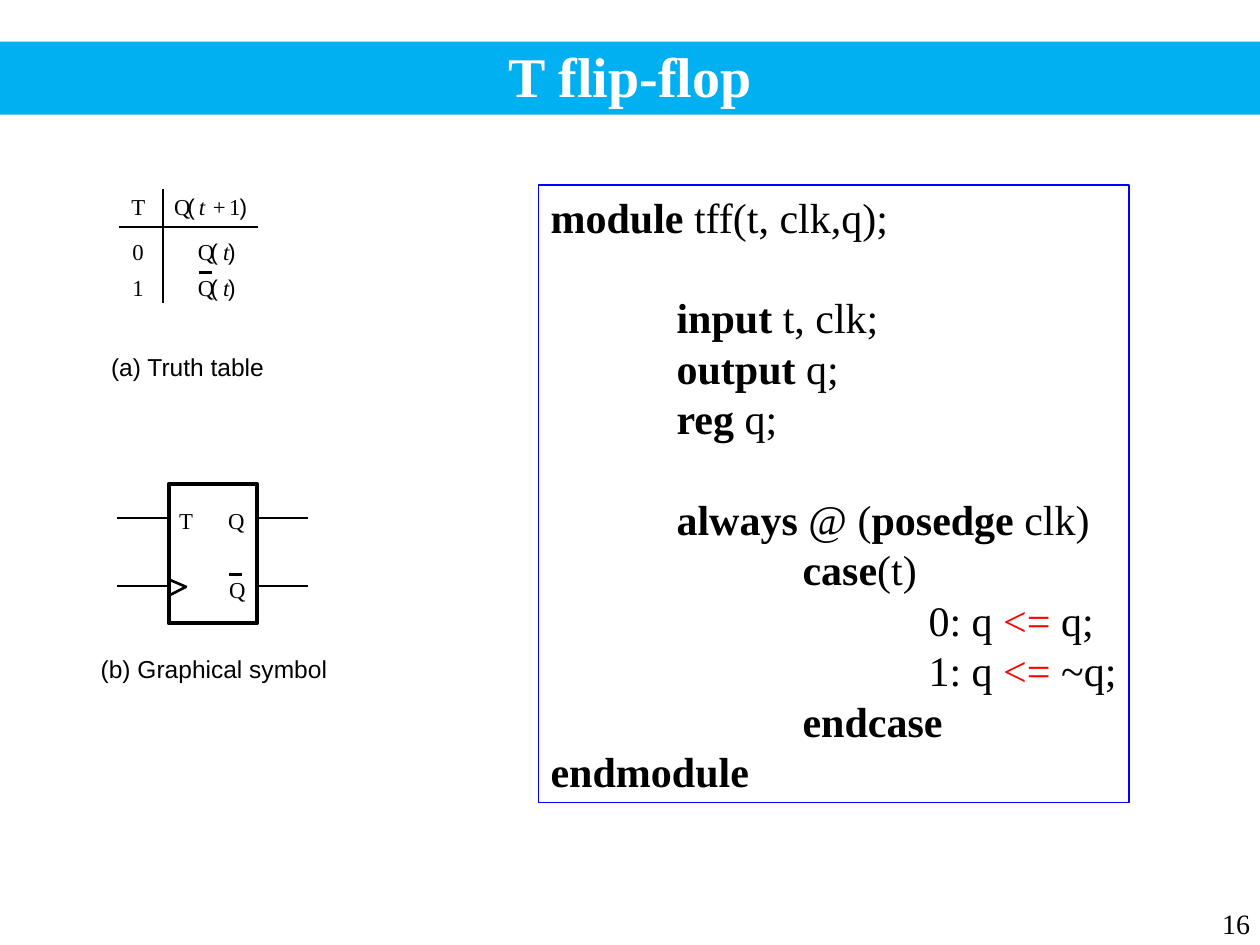
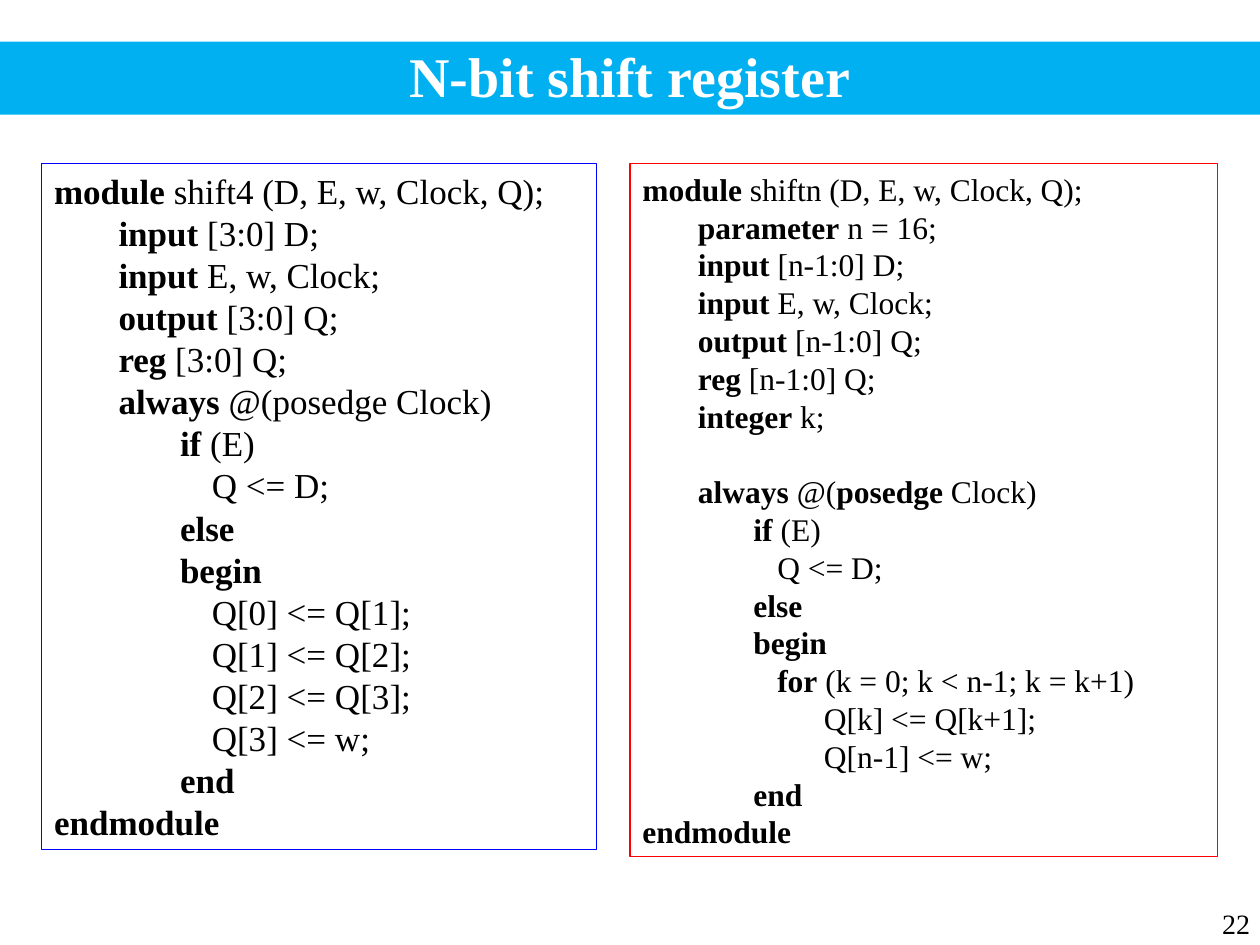
from lxml.etree import SubElement as SubEl
from pptx import Presentation
from pptx.dml.color import RGBColor
from pptx.enum.shapes import MSO_CONNECTOR as Link, MSO_SHAPE as Shape
from pptx.enum.text import MSO_ANCHOR as Anchor, MSO_AUTO_SIZE as Fit, PP_ALIGN as Align
from pptx.oxml.ns import qn
from pptx.util import Cm, Pt

COLORS = {"band": "00B0F0", "white": "FFFFFF", "black": "000000",
          "blue": "0000FF", "red": "FF0000"}
SERIF, SANS = "Times New Roman", "Arial"
LEAD = 1.2

# In code, *...* marks bold and ^...^ marks red.
TFF = """*module* tff(t, clk,q);

\t*input* t, clk;
\t*output* q;
\t*reg* q;

\t*always* @ (*posedge* clk)
\t\t*case*(t)
\t\t\t0: q ^<=^ q;
\t\t\t1: q ^<=^ ~q;
\t\t*endcase*
*endmodule*"""

SHIFT4 = """*module* shift4 (D, E, w, Clock, Q);
\t*input* [3:0] D;
\t*input* E, w, Clock;
\t*output* [3:0] Q;
\t*reg* [3:0] Q;
\t*always* @(posedge Clock)
\t\t*if* (E)
\t\t\tQ <= D;
\t\t*else*
\t\t*begin*
\t\t\tQ[0] <= Q[1];
\t\t\tQ[1] <= Q[2];
\t\t\tQ[2] <= Q[3];
\t\t\tQ[3] <= w;
\t\t*end*
*endmodule*"""

SHIFTN = """*module* shiftn (D, E, w, Clock, Q);
\t*parameter* n = 16;
\t*input* [n-1:0] D;
\t*input* E, w, Clock;
\t*output* [n-1:0] Q;
\t*reg* [n-1:0] Q;
\t*integer* k;

\t*always* @(*posedge* Clock)
\t\t*if* (E)
\t\t\tQ <= D;
\t\t*else*
\t\t*begin*
\t\t\t*for* (k = 0; k < n-1; k = k+1)
\t\t\t\tQ[k] <= Q[k+1];
\t\t\t\tQ[n-1] <= w;
\t\t*end*
*endmodule*"""


def rgb(name):
    return RGBColor.from_string(COLORS[name])


def add_run(para, text, size, color="black", face=SERIF, bold=False, slant=False):
    run = para.add_run()
    run.text = text
    font = run.font
    font.name, font.size, font.bold, font.italic = face, Pt(size), bold, slant
    font.color.rgb = rgb(color)


def set_line(shape, color, width):
    shape.line.color.rgb = rgb(color)
    shape.line.width = Pt(width)


def add_page(deck, title, number):
    """Add a slide with the title band and the page number."""
    slide = deck.slides.add_slide(deck.slide_layouts[5])
    band = slide.shapes.title
    band.left, band.top, band.width, band.height = Cm(0), Cm(0.84), Cm(25.4), Cm(1.47)
    band.fill.solid()
    band.fill.fore_color.rgb = rgb("band")
    frame = band.text_frame
    frame.auto_size, frame.vertical_anchor = Fit.NONE, Anchor.BOTTOM
    para = frame.paragraphs[0]
    para.alignment = Align.CENTER
    add_run(para, title, 32, "white", bold=True)

    foot = slide.shapes.add_textbox(Cm(20.17), Cm(17.81), Cm(5.28), Cm(1.27)).text_frame
    foot.word_wrap, foot.vertical_anchor = True, Anchor.BOTTOM
    foot.paragraphs[0].alignment = Align.RIGHT
    add_run(foot.paragraphs[0], str(number), 16)
    return slide


def add_label(slide, text, x, y, width=0.45, size=13, face=SERIF, slant=False):
    box = slide.shapes.add_textbox(Cm(x), Cm(y), Cm(width), Cm(0.56))
    frame = box.text_frame
    frame.margin_left = frame.margin_right = frame.margin_top = frame.margin_bottom = 0
    frame.word_wrap = False
    add_run(frame.paragraphs[0], text, size, face=face, slant=slant)


def add_term(slide, signs, y):
    """Set the signs of a formula one by one at their own x."""
    for sign, x in signs:
        face = SANS if sign in "()" else SERIF
        add_label(slide, sign, x, y, face=face, slant=sign == "t")


def add_rule(slide, x1, y1, x2, y2, width=1.5):
    rule = slide.shapes.add_connector(Link.STRAIGHT, Cm(x1), Cm(y1), Cm(x2), Cm(y2))
    set_line(rule, "black", width)
    SubEl(rule.element.spPr, qn("a:effectLst"))


def set_tabs(para, stops):
    tabs = SubEl(para._p.get_or_add_pPr(), qn("a:tabLst"))
    for stop in stops:
        SubEl(tabs, qn("a:tab"), pos=str(Cm(stop)), algn="l")


def add_code(slide, code, x, y, width, height, size, stops, edge):
    box = slide.shapes.add_textbox(Cm(x), Cm(y), Cm(width), Cm(height))
    set_line(box, edge, 0.75)
    frame = box.text_frame
    frame.word_wrap, frame.margin_right = True, 0
    para, gap = frame.paragraphs[0], 0
    for row, line in enumerate(code.split("\n")):
        if not line:
            gap = size * LEAD
            continue
        if row:
            para = frame.add_paragraph()
        set_tabs(para, stops)
        para.line_spacing, para.space_before = Pt(size * LEAD), Pt(gap)
        gap = 0
        for i, part in enumerate(line.split("*")):
            for j, text in enumerate(part.split("^")):
                if text:
                    add_run(para, text, size, "red" if j % 2 else "black", bold=i % 2 == 1)


def add_truth(slide):
    add_rule(slide, 2.39, 4.58, 5.21, 4.58, 1.39)
    add_rule(slide, 3.29, 3.81, 3.29, 6.1, 1.39)
    add_term(slide, [("T", 2.65), ("Q", 3.51), ("(", 3.78), ("t", 4.01),
                     ("+", 4.29), ("1", 4.62), (")", 4.83)], 3.89)
    for state, y in (("0", 4.8), ("1", 5.52)):
        add_term(slide, [(state, 2.67), ("Q", 3.99), ("(", 4.24), ("t", 4.5), (")", 4.6)], y)
    add_rule(slide, 4.01, 5.49, 4.27, 5.49, 1.39)
    add_label(slide, "(a) Truth table", 2.24, 7.09, 3.25, 14, SANS)


def add_symbol(slide):
    left, right = 3.4, 5.18
    body = slide.shapes.add_shape(Shape.RECTANGLE, Cm(left), Cm(9.75), Cm(right - left), Cm(2.82))
    body.shadow.inherit = False
    body.fill.solid()
    body.fill.fore_color.rgb = rgb("white")
    set_line(body, "black", 2.25)
    for y in (10.44, 11.81):
        add_rule(slide, 2.36, y, left, y)
        add_rule(slide, right, y, 6.2, y)

    path = slide.shapes.build_freeform(Cm(left), Cm(12.01))
    path.add_line_segments([(Cm(3.75), Cm(11.83)), (Cm(left), Cm(11.68))], close=False)
    clock = path.convert_to_shape()
    clock.shadow.inherit = False
    clock.fill.background()
    set_line(clock, "black", 1.5)

    for sign, x, y in (("T", 3.61, 10.21), ("Q", 4.6, 10.21), ("Q", 4.62, 11.61)):
        add_label(slide, sign, x, y)
    add_rule(slide, 4.62, 11.58, 4.88, 11.58)
    add_label(slide, "(b) Graphical symbol", 2.03, 13.18, 4.57, 14, SANS)


def main():
    deck = Presentation()
    deck.slide_width, deck.slide_height = Cm(25.4), Cm(19.05)

    slide = add_page(deck, "T flip-flop", 16)
    add_truth(slide)
    add_symbol(slide)
    add_code(slide, TFF, 10.85, 3.73, 11.91, 12.45, 24, (2.54, 5.08, 7.62), "blue")

    slide = add_page(deck, "N-bit shift register", 22)
    add_code(slide, SHIFT4, 0.84, 3.3, 11.18, 13.82, 20, (1.3, 2.54, 3.18), "blue")
    add_code(slide, SHIFTN, 12.7, 3.3, 11.84, 13.97, 18, (1.12, 2.24, 2.72, 3.66), "red")

    deck.save("out.pptx")


if __name__ == "__main__":
    main()
